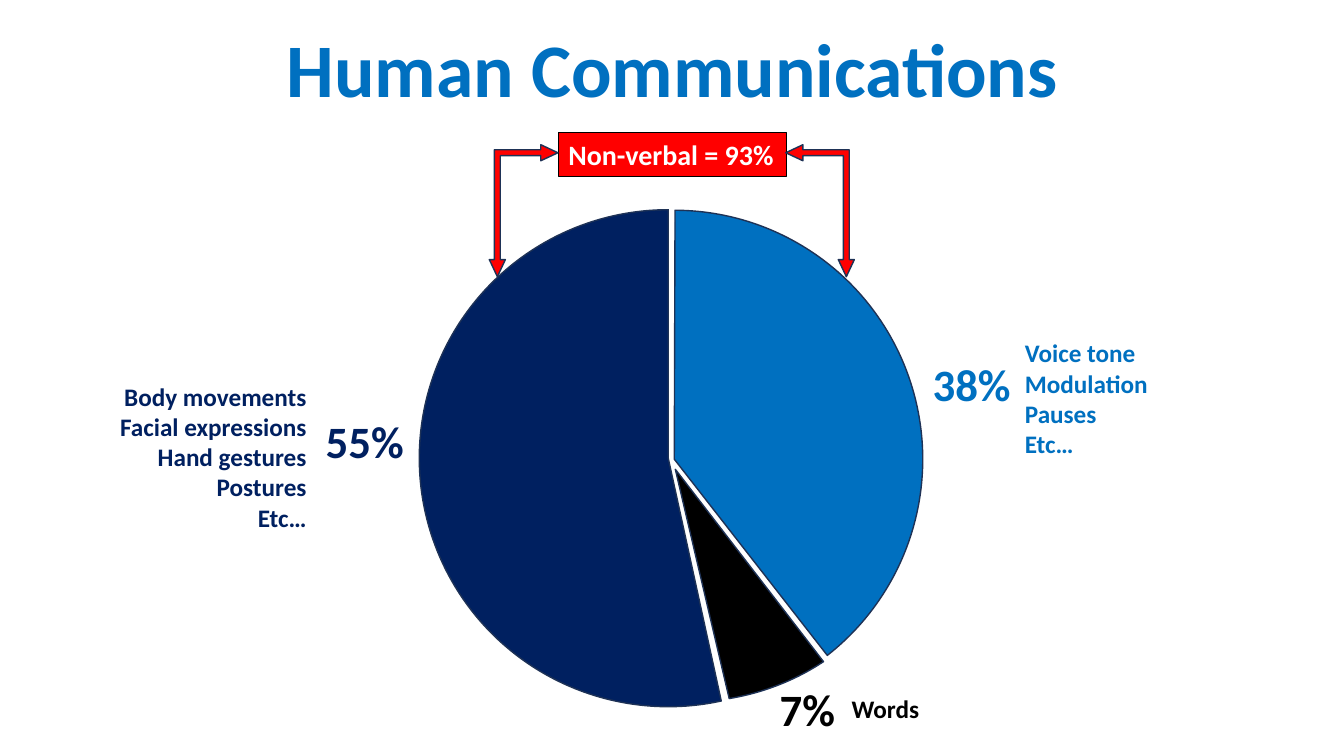
from dataclasses import dataclass

from pptx import Presentation
from pptx.dml.color import RGBColor
from pptx.enum.shapes import MSO_SHAPE as Preset
from pptx.enum.text import MSO_ANCHOR as Anchor, MSO_AUTO_SIZE as AutoSize, PP_ALIGN as Align
from pptx.oxml.ns import qn
from pptx.util import Pt


@dataclass(frozen=True)
class Theme:
    font: str = "Calibri"
    navy: str = "002060"
    blue: str = "0070C0"
    black: str = "000000"
    red: str = "FF0000"
    white: str = "FFFFFF"
    outline: str = "1E3256"
    title_size: int = 54
    share_size: int = 32
    badge_size: int = 20
    detail_size: int = 18


THEME = Theme()
ANGLE_UNIT = 0.6  # adjustment value of one degree


def color(value):
    return RGBColor.from_string(value)


def write_lines(frame, lines, size, text_color, align, wrap=True, anchor=Anchor.TOP):
    frame.word_wrap = wrap
    frame.vertical_anchor = anchor
    frame.auto_size = AutoSize.SHAPE_TO_FIT_TEXT
    for index, line in enumerate(lines):
        paragraph = frame.paragraphs[0] if index == 0 else frame.add_paragraph()
        paragraph.alignment = align
        run = paragraph.add_run()
        run.text = line
        run.font.name = THEME.font
        run.font.size = Pt(size)
        run.font.bold = True
        run.font.color.rgb = color(text_color)


def add_label(slide, box, lines, size, text_color, align, wrap=True):
    label = slide.shapes.add_textbox(*map(Pt, box))
    write_lines(label.text_frame, lines, size, text_color, align, wrap)
    return label


def add_figure(slide, preset, box, fill, line=THEME.outline, line_width=1):
    shape = slide.shapes.add_shape(preset, *map(Pt, box))
    shape.shadow.inherit = False
    shape.fill.solid()
    shape.fill.fore_color.rgb = color(fill)
    shape.line.color.rgb = color(line)
    shape.line.width = Pt(line_width)
    return shape


def add_slice(slide, box, start, end, rotation, fill):
    pie = add_figure(slide, Preset.PIE, box, fill)
    pie.adjustments[0] = start * ANGLE_UNIT
    pie.adjustments[1] = end * ANGLE_UNIT
    pie.rotation = rotation


def add_bent_arrow(slide, left, rotation, mirrored=False):
    arrow = add_figure(slide, Preset.LEFT_UP_ARROW, (left, 126, 94.3, 49), THEME.red)
    for index, value in enumerate((0.086, 0.117, 0.25)):
        arrow.adjustments[index] = value
    arrow.rotation = rotation
    if mirrored:
        arrow.element.spPr.find(qn("a:xfrm")).set("flipH", "1")


def add_title(slide, text):
    title = add_label(slide, (41.8, 13, 877, 72), [text],
                      THEME.title_size, THEME.blue, Align.CENTER)
    title.text_frame.auto_size = AutoSize.NONE
    title.text_frame.vertical_anchor = Anchor.BOTTOM
    title.text_frame.paragraphs[0].line_spacing = 0.9


def add_badge(slide, text):
    badge = add_figure(slide, Preset.RECTANGLE, (398.9, 94.3, 162.7, 31.5),
                       THEME.red, THEME.black, 0.75)
    write_lines(badge.text_frame, [text], THEME.badge_size, THEME.white, Align.LEFT, wrap=False)


def main():
    presentation = Presentation()
    presentation.slide_width, presentation.slide_height = Pt(960), Pt(540)
    slide = presentation.slides.add_slide(presentation.slide_layouts[6])

    add_title(slide, "Human Communications")

    # Pie slices: box, start and end angle, rotation, fill
    for pie_slice in (
        ((299.5, 149.8, 355.7, 355), 77.68, 270, 0, THEME.navy),
        ((303.8, 150.5, 355.7, 355), 0.18, 142.04, 270, THEME.blue),
        ((317.5, 157.7, 329.8, 355), 123.19, 147.57, 289.2, THEME.black),
    ):
        add_slice(slide, *pie_slice)

    # Shares beside the slices
    for left, top, share, share_color in (
        (206.6, 292.3, "55%", THEME.navy),
        (640.1, 251.3, "38%", THEME.blue),
        (522.7, 483.1, "7%", THEME.black),
    ):
        add_label(slide, (left, top, 108, 46), [share],
                  THEME.share_size, share_color, Align.CENTER)

    # What each share consists of
    for box, lines, text_color, align, wrap in (
        ((77.8, 268.6, 148.3, 116.6),
         ["Body movements", "Facial expressions", "Hand gestures", "Postures", "Etc…"],
         THEME.navy, Align.RIGHT, False),
        ((725, 237.6, 103, 94.3), ["Voice tone", "Modulation", "Pauses", "Etc…"],
         THEME.blue, Align.LEFT, False),
        ((601.2, 491.8, 141.1, 29), ["Words"], THEME.black, Align.LEFT, True),
    ):
        add_label(slide, box, lines, THEME.detail_size, text_color, align, wrap)

    # Non-verbal badge with its two bent arrows
    add_badge(slide, "Non-verbal = 93%")
    add_bent_arrow(slide, 538.6, 270)
    add_bent_arrow(slide, 326.9, 90, mirrored=True)

    presentation.save("out.pptx")


if __name__ == "__main__":
    main()
